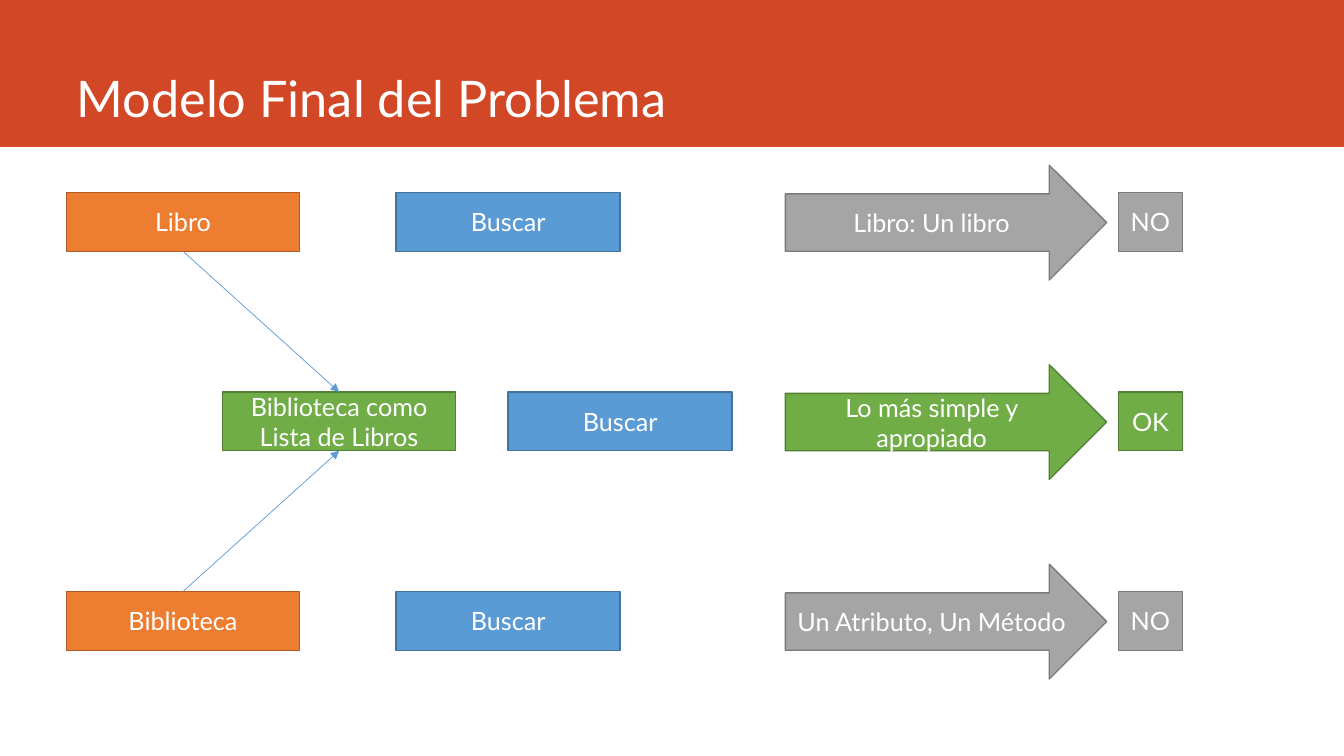
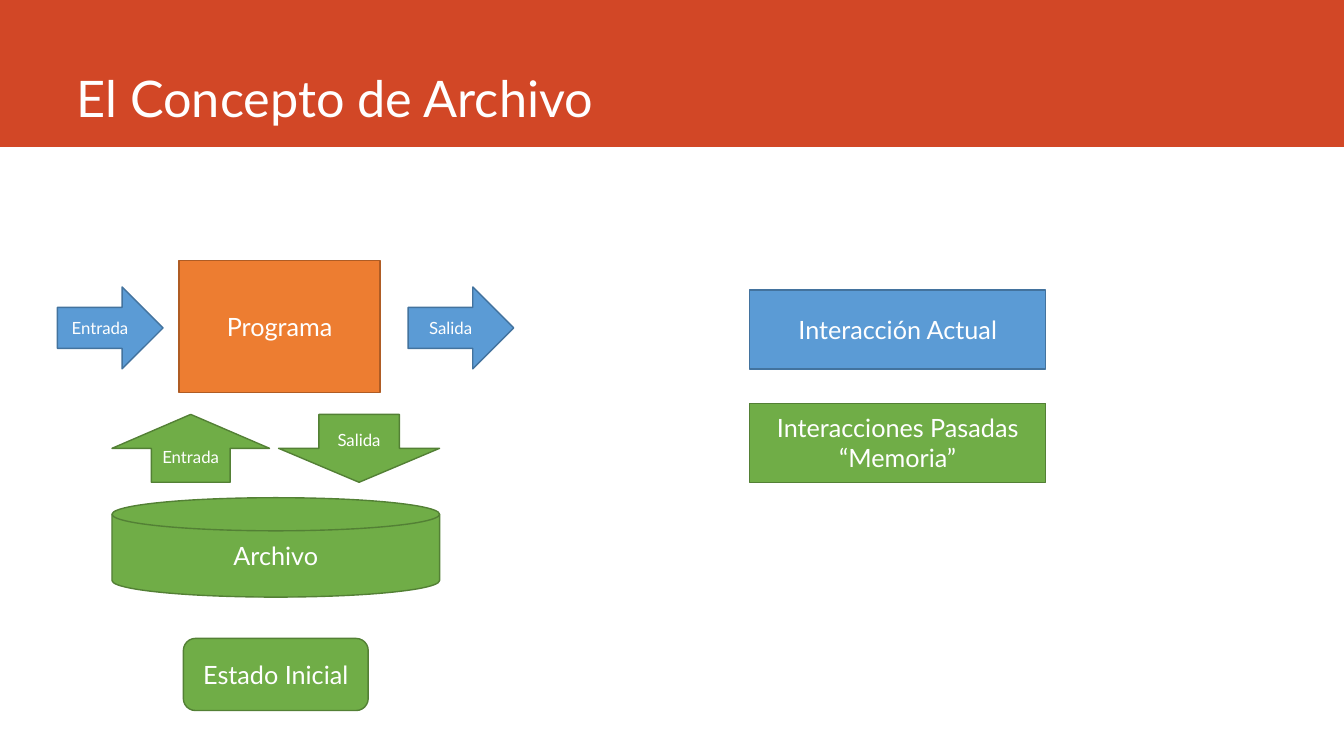
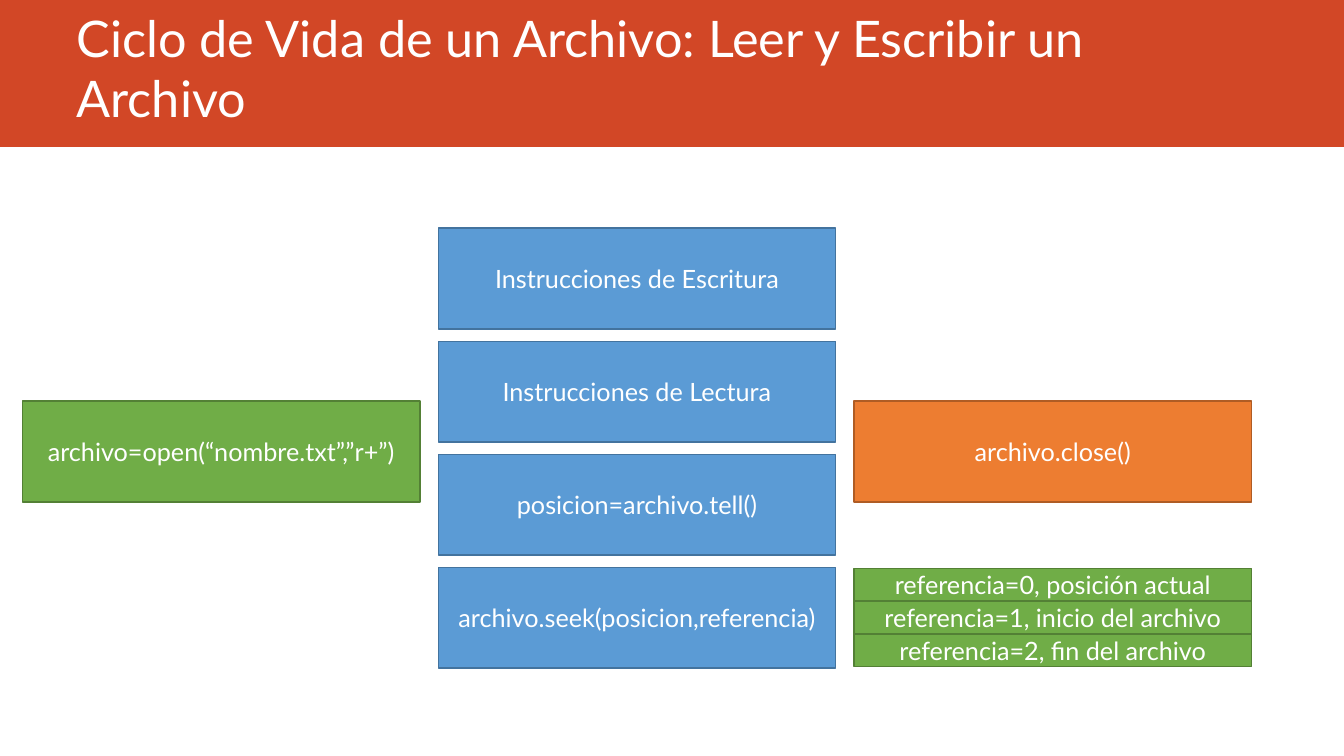
from lxml.etree import SubElement
from pptx import Presentation
from pptx.dml.color import RGBColor
from pptx.enum.shapes import MSO_CONNECTOR, MSO_SHAPE
from pptx.enum.text import MSO_ANCHOR, MSO_AUTO_SIZE, PP_ALIGN
from pptx.oxml.ns import qn
from pptx.util import Pt

FONT = "Lato"
WHITE = RGBColor(0xFF, 0xFF, 0xFF)
BAND = RGBColor(0xD2, 0x47, 0x26)
BLUE_FILL = RGBColor(0x5B, 0x9B, 0xD5)

# (fill, outline) pairs
BLUE = BLUE_FILL, RGBColor(0x43, 0x73, 0x9E)
ORANGE = RGBColor(0xED, 0x7D, 0x31), RGBColor(0xAF, 0x5C, 0x24)
GREEN = RGBColor(0x70, 0xAD, 0x47), RGBColor(0x53, 0x80, 0x35)
GRAY = RGBColor(0xA5, 0xA5, 0xA5), RGBColor(0x7A, 0x7A, 0x7A)

SLIDE_W, SLIDE_H = 960, 540


def place(shape, x, y, w, h):
    shape.left, shape.top, shape.width, shape.height = Pt(x), Pt(y), Pt(w), Pt(h)


def add_band(s, layout):
    """Draw the title band and move it to the layout, behind everything."""
    band = s.shapes.add_shape(MSO_SHAPE.RECTANGLE, 0, 0, Pt(SLIDE_W), Pt(105))
    band.shadow.inherit = False
    band.fill.solid()
    band.fill.fore_color.rgb = BAND
    band.line.fill.background()
    layout.shapes.element.insert(2, band.element)


def add_slide(prs, layout, title):
    s = prs.slides.add_slide(layout)
    tf = s.shapes.title.text_frame
    tf.text = title
    tf.auto_size = MSO_AUTO_SIZE.NONE
    tf.vertical_anchor = MSO_ANCHOR.BOTTOM
    p = tf.paragraphs[0]
    p.alignment = PP_ALIGN.LEFT
    p.font.name, p.font.size, p.font.color.rgb = FONT, Pt(36), WHITE
    return s


def add_block(s, text, colors, x, y, w, h, kind=MSO_SHAPE.RECTANGLE, size=18):
    sp = s.shapes.add_shape(kind, Pt(x), Pt(y), Pt(w), Pt(h))
    sp.shadow.inherit = False
    sp.fill.solid()
    sp.fill.fore_color.rgb, sp.line.color.rgb = colors
    sp.line.width = Pt(1)
    tf = sp.text_frame
    tf.text = text
    tf.word_wrap = True
    tf.vertical_anchor = MSO_ANCHOR.MIDDLE
    for p in tf.paragraphs:
        p.alignment = PP_ALIGN.CENTER
        p.font.name, p.font.size, p.font.color.rgb = FONT, Pt(size), WHITE
    return sp


def add_arrow(s, start, start_site, end, end_site):
    cx = s.shapes.add_connector(MSO_CONNECTOR.STRAIGHT, 0, 0, 0, 0)
    cx.begin_connect(start, start_site)
    cx.end_connect(end, end_site)
    cx.line.color.rgb = BLUE_FILL
    cx.line.width = Pt(0.5)
    SubElement(cx.line._get_or_add_ln(), qn("a:tailEnd"), type="triangle")
    SubElement(cx._element.spPr, qn("a:effectLst"))


def add_option(s, x, y, concept, concept_colors, search_x, reason, verdict, colors):
    """One row of the model: concept, search method, reason and verdict."""
    h = 42
    box = add_block(s, concept, concept_colors, x, y, 166.5, h)
    add_block(s, "Buscar", BLUE, search_x, y, 160, h)
    add_block(s, reason, colors, 561, y - 19.5, 229.5, 82, MSO_SHAPE.RIGHT_ARROW)
    add_block(s, verdict, colors, 799, y, 45.5, h)
    return box


def add_model(s, x, y):
    pitch, search_x = 142.5, x + 235.5
    book = add_option(s, x, y, "Libro", ORANGE, search_x,
                      "Libro: Un libro", "NO", GRAY)
    books = add_option(s, x + 111.5, y + pitch, "Biblioteca como\nLista de Libros",
                       GREEN, search_x + 80, "Lo más simple y apropiado", "OK", GREEN)
    library = add_option(s, x, y + 2 * pitch, "Biblioteca", ORANGE, search_x,
                         "Un Atributo, Un Método", "NO", GRAY)
    add_arrow(s, book, 2, books, 0)
    add_arrow(s, library, 0, books, 2)


def add_file_diagram(s, x, y):
    """Program with its inputs and outputs, above the file it uses."""
    add_block(s, "Programa", ORANGE, x + 87, y, 143.5, 94.5)
    for text, dx in (("Entrada", 0), ("Salida", 250.5)):
        add_block(s, text, BLUE, x + dx, y + 19, 75.5, 58.5,
                  MSO_SHAPE.RIGHT_ARROW, 12)
    add_block(s, "Entrada", GREEN, x + 39, y + 110, 112.5, 48.5,
              MSO_SHAPE.UP_ARROW, 12)
    add_block(s, "Salida", GREEN, x + 158, y + 110, 115, 48.5,
              MSO_SHAPE.DOWN_ARROW, 12)
    add_block(s, "Archivo", GREEN, x + 39, y + 169.5, 234, 71,
              MSO_SHAPE.FLOWCHART_MAGNETIC_DISK)
    add_block(s, "Estado Inicial", GREEN, x + 90, y + 270, 132, 51.5,
              MSO_SHAPE.ROUNDED_RECTANGLE)


def add_stack(s, x, y, w, h, pitch, colors, texts):
    for i, text in enumerate(texts):
        add_block(s, text, colors, x, y + i * pitch, w, h)


def add_life_cycle(s, x, y):
    w, h, pitch = 284, 72, 297
    middle_y = y + 123.5
    add_block(s, "archivo=open(“nombre.txt”,”r+”)", GREEN, x, middle_y, w, h)
    add_stack(s, x + pitch, y, w, h, 80.75, BLUE,
              ("Instrucciones de Escritura", "Instrucciones de Lectura",
               "posicion=archivo.tell()", "archivo.seek(posicion,referencia)"))
    add_block(s, "archivo.close()", ORANGE, x + 2 * pitch, middle_y, w, h)
    add_stack(s, x + 2 * pitch, y + 243, w, 23.4, 23.4, GREEN,
              ("referencia=0, posición actual", "referencia=1, inicio del archivo",
               "referencia=2, fin del archivo"))


def main():
    prs = Presentation()
    prs.slide_width, prs.slide_height = Pt(SLIDE_W), Pt(SLIDE_H)
    layout = prs.slide_layouts.get_by_name("Title Only")
    place(layout.placeholders[0], 47.5, 0, 847, 95)

    s = add_slide(prs, layout, "Modelo Final del Problema")
    add_band(s, layout)
    add_model(s, 47.5, 137.5)

    s = add_slide(prs, layout, "El Concepto de Archivo")
    add_file_diagram(s, 41, 186)
    for text, colors, y in (("Interacción Actual", BLUE, 207),
                            ("Interacciones Pasadas\n“Memoria”", GREEN, 288)):
        add_block(s, text, colors, 535.5, y, 211.5, 56.5)

    s = add_slide(prs, layout, "Ciclo de Vida de un Archivo: Leer y Escribir un Archivo")
    add_life_cycle(s, 16, 163)

    prs.save("out.pptx")


if __name__ == "__main__":
    main()
